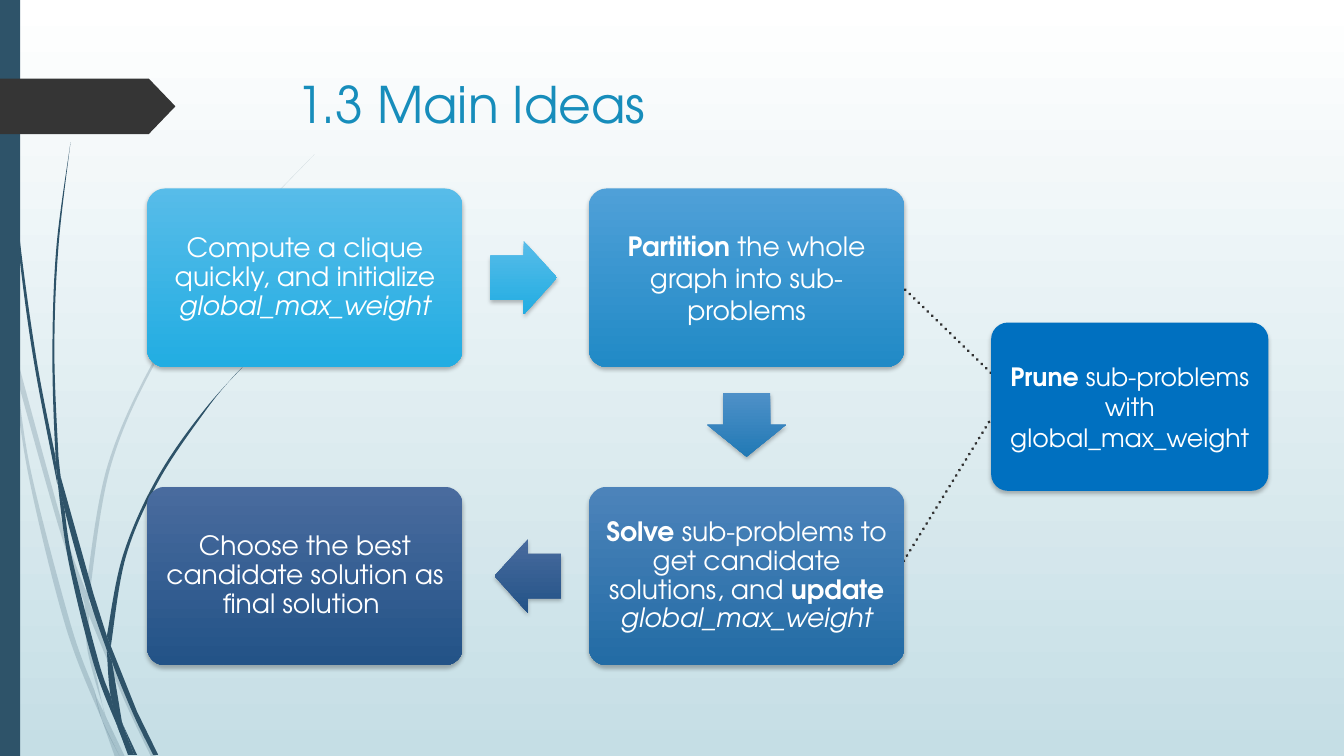
from dataclasses import dataclass

from lxml import etree
from pptx import Presentation
from pptx.dml.color import RGBColor
from pptx.enum.dml import MSO_LINE
from pptx.enum.shapes import MSO_CONNECTOR, MSO_SHAPE
from pptx.enum.text import MSO_ANCHOR, PP_ALIGN
from pptx.oxml import parse_xml
from pptx.oxml.ns import qn
from pptx.util import Inches, Pt

ROUNDED, PENTAGON, RECT = MSO_SHAPE.ROUNDED_RECTANGLE, MSO_SHAPE.PENTAGON, MSO_SHAPE.RECTANGLE
RIGHT, DOWN, LEFT = MSO_SHAPE.RIGHT_ARROW, MSO_SHAPE.DOWN_ARROW, MSO_SHAPE.LEFT_ARROW
STRAIGHT, DOTTED = MSO_CONNECTOR.STRAIGHT, MSO_LINE.ROUND_DOT
CENTER, LEFT_ALIGN = PP_ALIGN.CENTER, PP_ALIGN.LEFT
TOP, MIDDLE = MSO_ANCHOR.TOP, MSO_ANCHOR.MIDDLE
A_NS = "http://schemas.openxmlformats.org/drawingml/2006/main"


@dataclass(frozen=True)
class Theme:
    font: str = "TeX Gyre Adventor"
    title_size: int = 36
    step_size: int = 19
    prune_size: int = 18
    title: str = "178DBB"
    text: str = "FFFFFF"
    strand: str = "2E5369"
    tag: str = "353535"
    link: str = "333333"
    prune: tuple = ("0070C0",)
    background: tuple = ("FFFFFF", "C5DEE5")
    compute: tuple = ("57BCE9", "22ADE2")
    partition: tuple = ("4FA0D8", "218AC6")
    descend: tuple = ("4E90C8", "227AB5")
    solve: tuple = ("4C83BA", "236CA5")
    choose: tuple = ("496B9E", "235387")


THEME = Theme()

# Each blade of grass is one edge going out and one edge coming back
PALE_BLADES = [
    ([(0.11, 3.5), (0.09, 3.22), (0, 2.82)], [(0, 2.99), (0.1, 3.44)]),
    ([(0.17, 3.76), (0.58, 5.22), (0.84, 5.99)], [(0.85, 5.86), (0.62, 5.2), (0.14, 3.45)]),
    ([(0.88, 6.1), (1.23, 6.94), (1.5, 7.51)], [(1.55, 7.51), (1.27, 6.92), (0.88, 5.96)]),
    ([(1.05, 7.11), (1.19, 7.51)], [(1.24, 7.51)]),
    ([(0.11, 3.5), (0.28, 4.7), (0.65, 6.21), (1.01, 7.14)],
     [(0.93, 6.83), (0.7, 6.19), (0.31, 4.69), (0.17, 3.76)]),
    ([(0.84, 5.99), (0.87, 6.46), (1.05, 7.11)], [(1.03, 7.06), (0.91, 6.46), (0.88, 6.1)]),
    ([(0.85, 5.86), (1.07, 4.61), (1.58, 3.48), (2.28, 2.44), (3.12, 1.53)],
     [(2.68, 1.98), (2.29, 2.45), (1.6, 3.49), (1.1, 4.62), (0.88, 5.96)]),
    ([(1.01, 7.14), (1.14, 7.51)], [(1.19, 7.51)]),
    ([(0.85, 5.86), (0.84, 5.99)], [(0.88, 6.1), (0.88, 5.96)]),
    ([(0.93, 6.83), (1.01, 7.14), (1.19, 7.51)], [(1.05, 7.11), (0.96, 6.92)]),
]
DARK_BLADES = [
    ([(0.03, 0), (0.07, 1.1), (0.17, 2.33), (0.33, 3.55), (0.57, 4.81)],
     [(0.55, 4.53), (0.36, 3.55), (0.19, 2.32), (0.08, 1.09), (0.04, 0)]),
    ([(0.6, 4.72), (0.64, 5.05), (0.88, 5.92), (1.06, 6.45)], [(1.06, 6.31), (0.93, 5.9)]),
    ([(1.1, 6.41), (1.11, 6.56), (1.32, 7.08), (1.52, 7.49)], [(1.57, 7.49), (1.36, 7.06)]),
    ([(0.57, 4.77), (0.68, 5.57), (0.93, 6.59), (1.17, 7.22)],
     [(1.1, 6.91), (0.98, 6.57), (0.72, 5.56), (0.64, 5.05)]),
    ([(0.7, 1.41), (0.56, 2.45), (0.52, 3.49), (0.55, 4.49), (0.6, 4.72)],
     [(0.58, 4.53), (0.54, 3.49), (0.58, 2.45), (0.7, 1.41)]),
    ([(1.22, 7.19), (1.33, 7.49)], [(1.36, 7.49)]),
    ([(0.55, 4.49), (0.57, 4.77), (0.64, 5.05)], [(0.6, 4.72)]),
    ([(1.06, 6.31), (1.22, 5.51), (1.56, 4.74), (2.04, 4.05), (2.6, 3.44)],
     [(2.31, 3.74), (2.05, 4.06), (1.58, 4.76), (1.25, 5.52), (1.1, 6.41)]),
    ([(1.17, 7.22), (1.27, 7.49)], [(1.31, 7.49)]),
    ([(1.06, 6.45), (1.1, 6.91), (1.22, 7.19)], [(1.21, 7.16), (1.11, 6.56)]),
    ([(1.06, 6.31), (1.06, 6.45)], [(1.11, 6.56), (1.1, 6.41)]),
    ([(1.1, 6.91), (1.17, 7.22), (1.3, 7.49)], [(1.33, 7.49), (1.22, 7.19)]),
]


def paint(fill, colors):
    """Fill with one colour, or with a gradient from top to bottom."""
    if len(colors) == 1:
        fill.solid()
        fill.fore_color.rgb = RGBColor.from_string(colors[0])
        return
    fill.gradient()
    fill.gradient_angle = 270
    for stop, color in zip(fill.gradient_stops, colors):
        stop.color.rgb = RGBColor.from_string(color)


def finish(shape, colors):
    shape.shadow.inherit = False
    shape.line.fill.background()
    paint(shape.fill, colors)


def add_filled(slide, preset, box, colors, adjustments=()):
    shape = slide.shapes.add_shape(preset, *map(Inches, box))
    finish(shape, colors)
    for index, value in enumerate(adjustments):
        shape.adjustments[index] = value
    return shape


def cast_shadow(shape):
    shape._element.spPr.find(qn("a:effectLst")).append(parse_xml(
        f'<a:outerShdw xmlns:a="{A_NS}" blurRad="38100" dist="25400" dir="5400000" '
        'rotWithShape="0"><a:srgbClr val="000000"><a:alpha val="25000"/></a:srgbClr>'
        '</a:outerShdw>'))


def add_runs(paragraph, runs, size, color):
    """Add (text, style) runs, where style is b for bold or i for italic."""
    for text, style in runs:
        run = paragraph.add_run()
        run.text = text
        run.font.name, run.font.size = THEME.font, Pt(size)
        run.font.bold, run.font.italic = style == "b", style == "i"
        run.font.color.rgb = RGBColor.from_string(color)


def curve_points(knots):
    """Bezier points of a smooth curve: two controls and an end for each segment."""
    padded = [knots[0], *knots, knots[-1]]
    points = []
    for before, start, end, after in zip(padded, padded[1:], padded[2:], padded[3:]):
        points += [tuple(s + (e - b) / 6 for b, s, e in zip(before, start, end)),
                   tuple(e - (a - s) / 6 for s, e, a in zip(start, end, after)), end]
    return points


def add_blade(slide, out, back, alpha=None):
    builder = slide.shapes.build_freeform(*(1000 * v for v in out[0]), scale=Inches(1) / 1000)
    points = curve_points(out) + [out[-1], back[0], back[0]] + curve_points(back)
    builder.add_line_segments([(1000 * x, 1000 * y) for x, y in points])
    blade = builder.convert_to_shape()
    finish(blade, (THEME.strand,))
    segments = list(blade._element.iter(qn("a:lnTo")))
    for first, second, end in zip(segments[::3], segments[1::3], segments[2::3]):
        bezier = etree.Element(qn("a:cubicBezTo"))
        first.addprevious(bezier)
        for segment in (first, second, end):
            bezier.append(segment[0])
            segment.getparent().remove(segment)
    if alpha:
        color = blade._element.spPr.find(qn("a:solidFill"))[0]
        etree.SubElement(color, qn("a:alpha")).set("val", str(alpha * 1000))


def add_backdrop(slide, height):
    paint(slide.background.fill, THEME.background)
    for blades, alpha in ((PALE_BLADES, 20), (DARK_BLADES, None)):
        for out, back in blades:
            add_blade(slide, out, back, alpha)
    add_filled(slide, RECT, (0, 0, 0.2, height), (THEME.strand,))
    add_filled(slide, PENTAGON, (0, 0.78, 1.74, 0.55), (THEME.tag,), (0.48,))


def add_title(slide, box, text):
    title = slide.shapes.title
    title.left, title.top, title.width, title.height = map(Inches, box)
    title.text_frame.vertical_anchor = TOP
    paragraph = title.text_frame.paragraphs[0]
    paragraph.alignment = LEFT_ALIGN
    add_runs(paragraph, [(text, "")], THEME.title_size, THEME.title)


def add_card(slide, box, colors, runs, size=THEME.step_size, spacing=1.0):
    card = add_filled(slide, ROUNDED, box, colors, (0.1,))
    cast_shadow(card)
    frame = card.text_frame
    frame.word_wrap, frame.vertical_anchor = True, MIDDLE
    frame.margin_left = frame.margin_right = Inches(0.08)
    frame.margin_top = frame.margin_bottom = Inches(0.08)
    paragraph = frame.paragraphs[0]
    paragraph.alignment, paragraph.line_spacing = CENTER, spacing
    add_runs(paragraph, runs, size, THEME.text)


def add_arrow(slide, preset, center, size, colors):
    corner = [middle - length / 2 for middle, length in zip(center, size)]
    cast_shadow(add_filled(slide, preset, (*corner, *size), colors, (0.6, 0.5)))


def add_link(slide, start, end):
    link = slide.shapes.add_connector(STRAIGHT, *map(Inches, (*start, *end)))
    link.line.color.rgb = RGBColor.from_string(THEME.link)
    link.line.width, link.line.dash_style = Pt(2.25), DOTTED
    link._element.spPr.find(qn("a:ln")).set("cap", "rnd")
    etree.SubElement(link._element.spPr, qn("a:effectLst"))


def add_cycle(slide, box):
    """Four steps clockwise in the corners of the box, with arrows between them."""
    left, top, width, height = box
    card_w, card_h = 3.13, 1.77
    right, bottom = left + width - card_w, top + height - card_h
    weight = ("global_max_weight", "i")
    for x, y, colors, spacing, runs in (
        (left, top, THEME.compute, 0.9,
         [("Compute a clique quickly, and initialize ", ""), weight]),
        (right, top, THEME.partition, 1.0,
         [("Partition", "b"), (" the whole graph into sub-problems", "")]),
        (right, bottom, THEME.solve, 0.9,
         [("Solve", "b"), (" sub-problems to get candidate solutions, and ", ""),
          ("update ", "b"), weight]),
        (left, bottom, THEME.choose, 0.9,
         [("Choose the best candidate solution as final solution ", "")]),
    ):
        add_card(slide, (x, y, card_w, card_h), colors, runs, spacing=spacing)
    gap_x, gap_y = left + width / 2, top + height / 2
    add_arrow(slide, RIGHT, (gap_x - 0.02, top + card_h / 2), (0.66, 0.73), THEME.compute)
    add_arrow(slide, DOWN, (right + card_w / 2, gap_y - 0.02), (0.78, 0.63), THEME.descend)
    add_arrow(slide, LEFT, (gap_x + 0.02, bottom + card_h / 2), (0.66, 0.73), THEME.choose)


def main():
    prs = Presentation()
    prs.slide_width, prs.slide_height = Inches(13.33), Inches(7.5)
    slide = prs.slides.add_slide(prs.slide_layouts[5])
    add_backdrop(slide, 7.5)
    add_title(slide, (2.84, 0.68, 9.75, 1.4), "1.3 Main Ideas")
    add_link(slide, (8.8, 5.83), (10.01, 3.86))
    add_link(slide, (8.8, 2.7), (9.83, 3.7))
    add_cycle(slide, (1.46, 1.87, 7.51, 4.73))
    add_card(slide, (9.83, 3.2, 2.75, 1.67), THEME.prune,
             [("Prune ", "b"), ("sub-problems with global_max_weight", "")], THEME.prune_size)
    prs.save("out.pptx")


if __name__ == "__main__":
    main()
